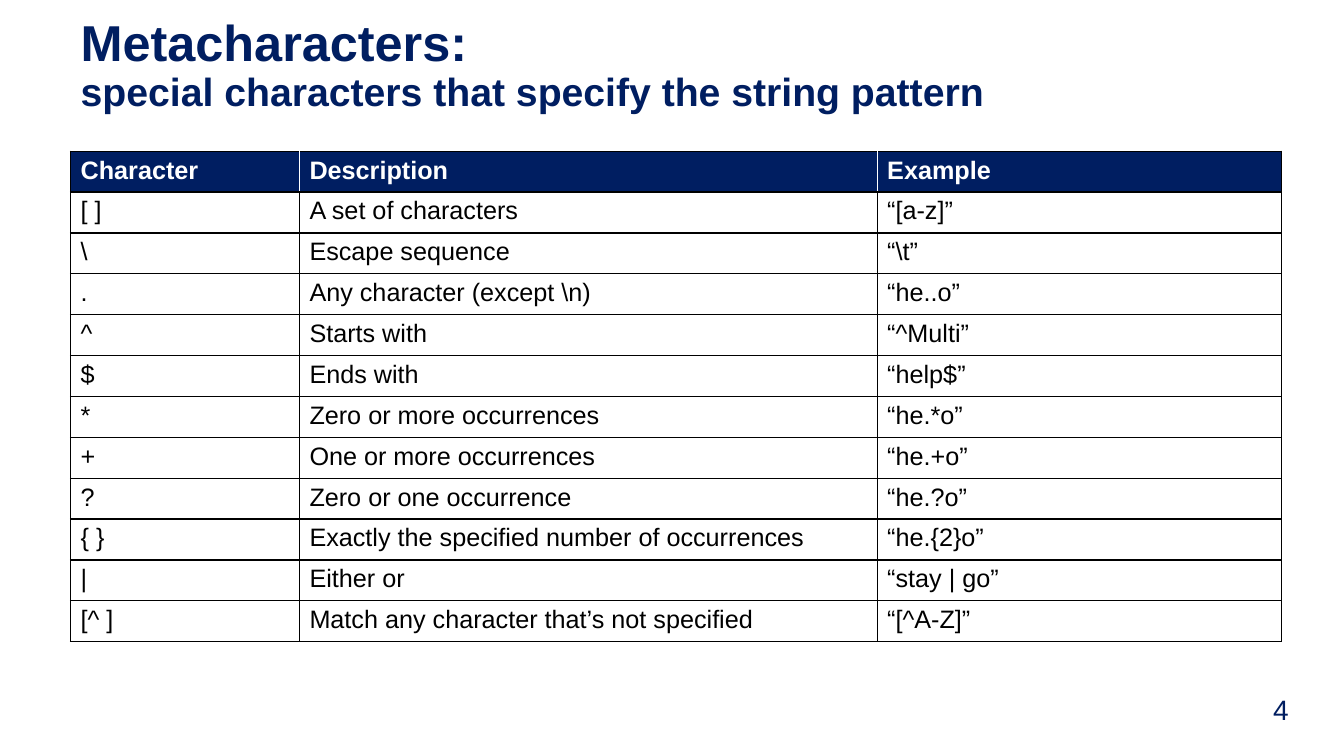
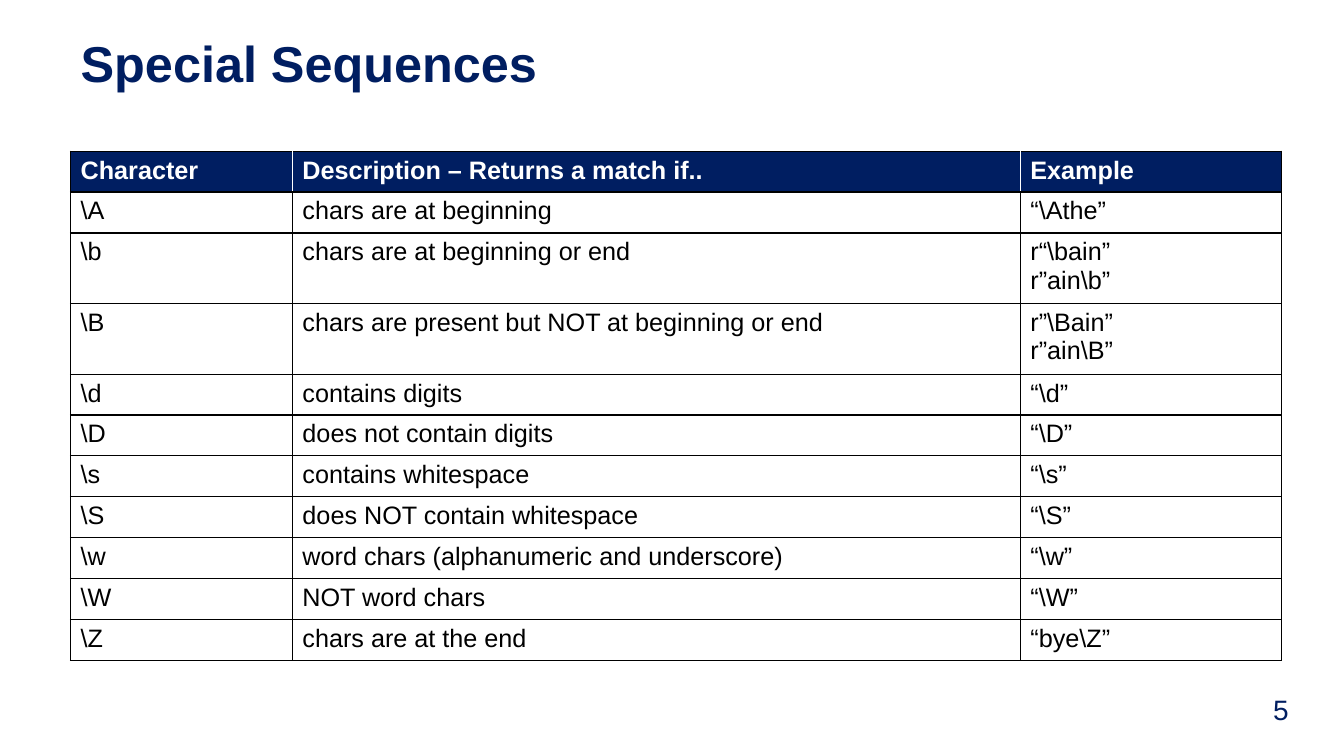
"""Build two slides on regular expression metacharacters and special sequences."""
from lxml.etree import SubElement
from pptx import Presentation
from pptx.dml.color import RGBColor
from pptx.enum.text import MSO_ANCHOR, MSO_AUTO_SIZE, PP_ALIGN
from pptx.oxml.ns import qn
from pptx.util import Inches, Pt

COLORS = {"navy": "001E61", "white": "FFFFFF", "black": "000000"}
FONT = "Arial"
LEFT, WIDTH = Inches(0.7), Inches(12.01)
ROW_HEIGHT = Inches(4.87) // 12
TWO_LINE_HEIGHT = Inches(0.66)
FIRST_NUMBER = 4

SLIDES = [
    {
        "title": [("Metacharacters:", 36),
                  ("special characters that specify the string pattern", 28)],
        "widths": [2.27, 5.73, 4.01],
        "rows": [
            ("Character", "Description", "Example"),
            ("[ ]", "A set of characters", "“[a-z]”"),
            ("\\", "Escape sequence", r"“\t”"),
            (".", r"Any character (except \n)", "“he..o”"),
            ("^", "Starts with", "“^Multi”"),
            ("$", "Ends with", "“help$”"),
            ("*", "Zero or more occurrences", "“he.*o”"),
            ("+", "One or more occurrences", "“he.+o”"),
            ("?", "Zero or one occurrence", "“he.?o”"),
            ("{ }", "Exactly the specified number of occurrences", "“he.{2}o”"),
            ("|", "Either or", "“stay | go”"),
            ("[^ ]", "Match any character that’s not specified", "“[^A-Z]”"),
        ],
    },
    {
        "title": [("Special Sequences", 36)],
        "widths": [2.2, 7.22, 2.59],
        "rows": [
            ("Character", "Description – Returns a match if..", "Example"),
            (r"\A", "chars are at beginning", r"“\Athe”"),
            (r"\b", "chars are at beginning or end", r"r“\bain”" "\n" r"r”ain\b”"),
            (r"\B", "chars are present but NOT at beginning or end",
             r"r”\Bain”" "\n" r"r”ain\B”"),
            (r"\d", "contains digits", r"“\d”"),
            (r"\D", "does not contain digits", r"“\D”"),
            (r"\s", "contains whitespace", r"“\s”"),
            (r"\S", "does NOT contain whitespace", r"“\S”"),
            (r"\w", "word chars (alphanumeric and underscore)", r"“\w”"),
            (r"\W", "NOT word chars", r"“\W”"),
            (r"\Z", "chars are at the end", r"“bye\Z”"),
        ],
    },
]


def style_run(run, size, color, bold=False):
    """Apply the shared font to one run."""
    run.font.name = FONT
    run.font.size = Pt(size)
    run.font.bold = bold
    run.font.color.rgb = RGBColor.from_string(COLORS[color])


def set_borders(cell, sides):
    """Draw one-point borders; sides maps L, R, T and B to colour names."""
    properties = cell._tc.get_or_add_tcPr()
    for position, side in enumerate("LRTB"):
        line = SubElement(properties, qn(f"a:ln{side}"), w=str(Pt(1)))
        fill = SubElement(line, qn("a:solidFill"))
        SubElement(fill, qn("a:srgbClr"), val=COLORS[sides[side]])
        properties.insert(position, line)


prs = Presentation()
prs.slide_width, prs.slide_height = Inches(13.33), Inches(7.5)

for number, content in enumerate(SLIDES, FIRST_NUMBER):
    slide = prs.slides.add_slide(prs.slide_layouts[5])

    page_number = slide.shapes.add_textbox(
        Inches(12.25), Inches(6.56), Inches(0.91), Inches(0.96)).text_frame
    page_number.word_wrap = True
    page_number.vertical_anchor = MSO_ANCHOR.MIDDLE
    page_number.text = str(number)
    page_number.paragraphs[0].alignment = PP_ALIGN.CENTER
    style_run(page_number.paragraphs[0].runs[0], 20, "navy")

    title = slide.shapes.title
    title.left, title.top = LEFT, Inches(0.1)
    title.width, title.height = WIDTH, Inches(1.12)
    title.text_frame.auto_size = MSO_AUTO_SIZE.NONE
    title.text_frame.vertical_anchor = MSO_ANCHOR.MIDDLE
    heading = title.text_frame.paragraphs[0]
    heading.alignment = PP_ALIGN.LEFT
    heading.line_spacing = 0.9
    for index, (words, size) in enumerate(content["title"]):
        if index:
            heading.add_line_break()
        run = heading.add_run()
        run.text = words
        style_run(run, size, "navy", bold=True)

    rows, widths = content["rows"], content["widths"]
    table = slide.shapes.add_table(
        len(rows), len(widths), LEFT, Inches(1.5), WIDTH, ROW_HEIGHT * len(rows)).table
    table.horz_banding = False
    for column, width in zip(table.columns, widths):
        column.width = Inches(width)

    for row_index, row in enumerate(rows):
        is_header = row_index == 0
        has_two_lines = any("\n" in entry for entry in row)
        table.rows[row_index].height = TWO_LINE_HEIGHT if has_two_lines else ROW_HEIGHT
        for column_index, entry in enumerate(row):
            cell = table.cell(row_index, column_index)
            cell.text_frame.text = entry
            for paragraph in cell.text_frame.paragraphs:
                style_run(paragraph.runs[0], 18, "white" if is_header else "black", is_header)
            sides = dict.fromkeys("LRTB", "black")
            if is_header:
                cell.fill.solid()
                cell.fill.fore_color.rgb = RGBColor.from_string(COLORS["navy"])
                if column_index > 0:
                    sides["L"] = "white"
                if column_index < len(row) - 1:
                    sides["R"] = "white"
            else:
                cell.fill.background()
            set_borders(cell, sides)

prs.save("out.pptx")
